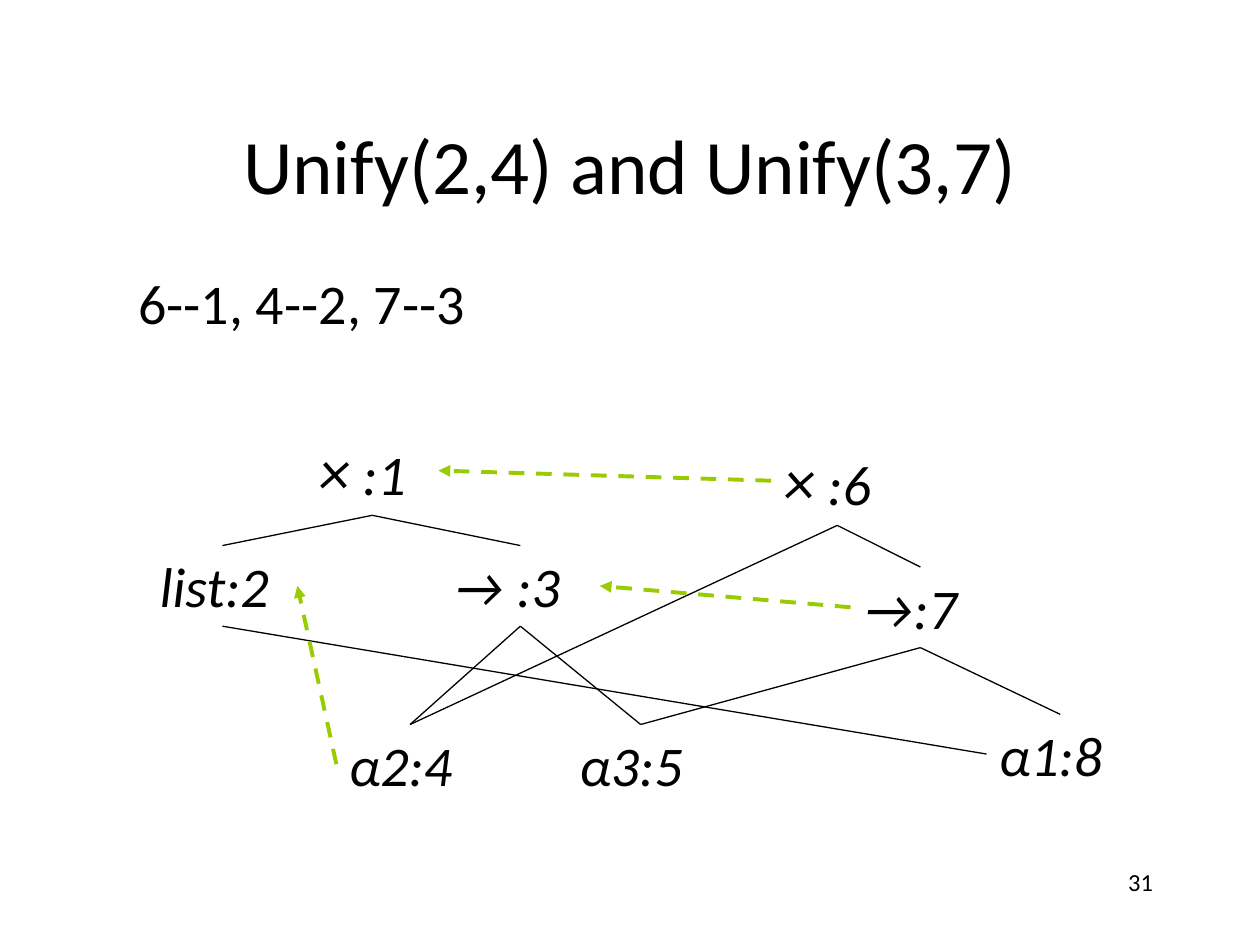
from lxml import etree
from pptx import Presentation
from pptx.dml.color import RGBColor
from pptx.enum import dml, shapes, text
from pptx.oxml.ns import qn
from pptx.util import Inches, Pt

BLACK = RGBColor(0, 0, 0)
GREEN = RGBColor(0x99, 0xCC, 0x00)
FONT = "Calibri"
TOP, LEFT, BOTTOM, RIGHT = range(4)

NODES = {
    1: (1.26, 0, 1.05, 0.71, "×", " :1"),
    2: (0, 0.95, 1.19, 0.64, "", "list:2"),
    3: (2.33, 0.95, 1.26, 0.64, "", "→ :3"),
    4: (1.5, 2.37, 1.17, 0.63, "", "α2:4"),
    5: (3.33, 2.37, 1.17, 0.63, "", "α3:5"),
    6: (4.95, 0.08, 1.05, 0.71, "×", " :6"),
    7: (5.58, 1.12, 1.11, 0.64, "", "→:7"),
    8: (6.66, 2.29, 1.17, 0.63, "", "α1:8"),
}
EDGES = [(6, 7), (6, 4), (7, 5), (7, 8), (1, 2), (1, 3), (3, 4), (3, 5)]
MERGES = [(6, 1), (4, 2), (7, 3)]


def label(slide, box, parts, align=text.PP_ALIGN.LEFT,
          anchor=text.MSO_ANCHOR.TOP, slant=False):
    """Place one line of text made of (words, size) parts."""
    area = slide.shapes.add_textbox(*map(Inches, box))
    frame = area.text_frame
    frame.word_wrap = True
    frame.vertical_anchor = anchor
    line = frame.paragraphs[0]
    line.alignment = align
    for words, size in parts:
        run = line.add_run()
        run.text = words
        font = run.font
        font.name, font.size, font.italic = FONT, Pt(size), slant
        font.color.rgb = BLACK
    return area


def link(slide, start, end, color=BLACK, width=0.75):
    """Join two (node, side) ends with a straight line."""
    line = slide.shapes.add_connector(shapes.MSO_CONNECTOR.STRAIGHT, 0, 0, 0, 0)
    line.begin_connect(*start)
    line.end_connect(*end)
    line.line.color.rgb = color
    line.line.width = Pt(width)
    etree.SubElement(line._element.spPr, qn("a:effectLst"))
    return line


def merge(slide, start, end):
    """Draw a dashed arrow from one node to its representative."""
    line = link(slide, (start, LEFT), (end, RIGHT), GREEN, 2.25).line
    line.dash_style = dml.MSO_LINE.DASH
    etree.SubElement(line._get_or_add_ln(), qn("a:tailEnd"), type="triangle")


def graph(slide, left, top):
    """Draw the type graph with its top left corner at the given point."""
    nodes = {}
    for key, (x, y, wide, high, sign, name) in NODES.items():
        parts = [(sign, 36), (name, 32)] if sign else [(name, 32)]
        nodes[key] = label(slide, (left + x, top + y, wide, high), parts, slant=True)
    for start, end in EDGES:
        link(slide, (nodes[start], BOTTOM), (nodes[end], TOP))
    link(slide, (nodes[2], BOTTOM), (nodes[8], LEFT))
    for start, end in MERGES:
        merge(slide, nodes[start], nodes[end])


def main():
    """Build and save the slide."""
    deck = Presentation()
    deck.slide_width, deck.slide_height = Inches(10), Inches(7.5)
    slide = deck.slides.add_slide(deck.slide_layouts[6])
    middle = text.MSO_ANCHOR.MIDDLE
    label(slide, (0.75, 0.67, 8.5, 1.25), [("Unify(2,4) and Unify(3,7)", 44)],
          text.PP_ALIGN.CENTER, middle)
    label(slide, (1, 2.08, 2.87, 0.63), [("6--1, 4--2, 7--3", 32)], anchor=middle)
    graph(slide, 1.17, 3.38)
    label(slide, (7.17, 6.83, 2.08, 0.5), [("31", 14)], text.PP_ALIGN.RIGHT)
    deck.save("out.pptx")


if __name__ == "__main__":
    main()
